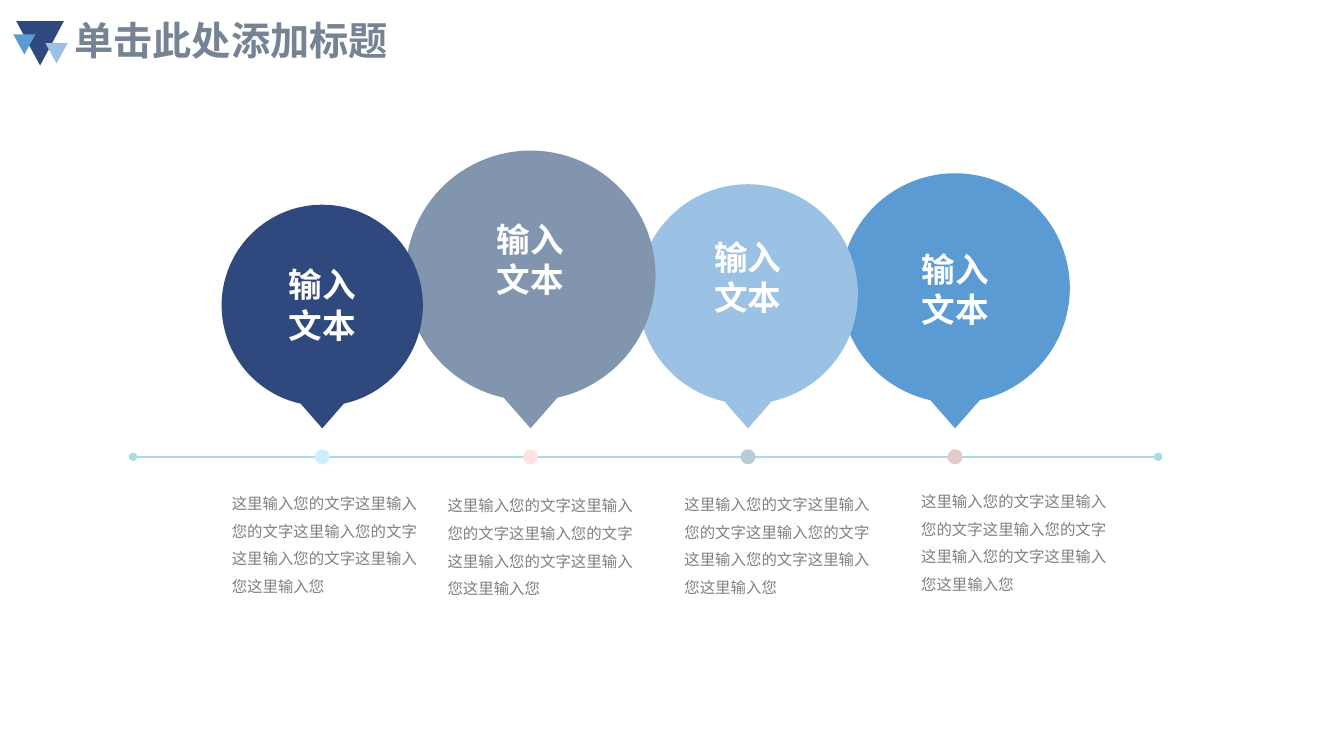
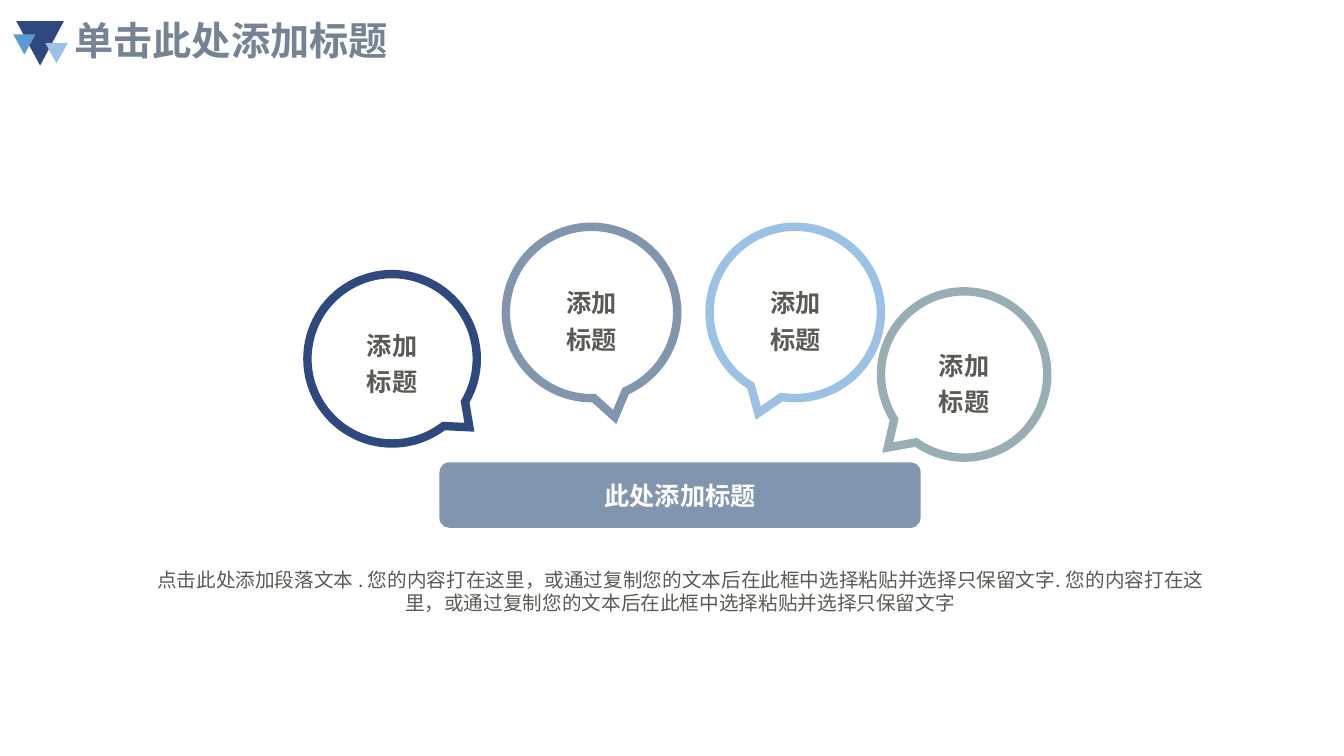
import math
import lxml.etree
import pptx
import pptx.dml.color
import pptx.enum.shapes
import pptx.enum.text
import pptx.oxml
import pptx.oxml.ns
import pptx.util

Pt = pptx.util.Pt
RGB = pptx.dml.color.RGBColor
Kind = pptx.enum.shapes.MSO_SHAPE
Align = pptx.enum.text.PP_ALIGN
Anchor = pptx.enum.text.MSO_ANCHOR
qn = pptx.oxml.ns.qn

FACE = "Noto Sans CJK SC"
NAVY = RGB(0x2F, 0x49, 0x7E)
STEEL = RGB(0x82, 0x95, 0xAF)
SKY = RGB(0x9B, 0xC1, 0xE4)
BLUE = RGB(0x5B, 0x9B, 0xD4)
SAGE = RGB(0x98, 0xAE, 0xB4)
SLATE = RGB(0x76, 0x83, 0x95)
AQUA = RGB(0xA9, 0xDB, 0xE4)
ICE = RGB(0xCB, 0xEF, 0xFD)
ROSE = RGB(0xFF, 0xE2, 0xE1)
MIST = RGB(0xB8, 0xCC, 0xD5)
BLUSH = RGB(0xE4, 0xCA, 0xC9)
GREY = RGB(0x80, 0x80, 0x80)
INK = RGB(0x59, 0x5C, 0x54)
WHITE = RGB(0xFF, 0xFF, 0xFF)

HEAD = "单击此处添加标题"
NOTE = "这里输入您的文字" * 4 + "这里输入您" * 2
BODY = (
    "点击此处添加段落文本 . 您的内容打在这里，或通过复制您的文本后在此框中选择粘贴并选择只保留文字"
    ". 您的内容打在这里，或通过复制您的文本后在此框中选择粘贴并选择只保留文字"
)
TIP = 306
AXIS = 326.3


def put(thing, forms):
    for name, value in forms.items():
        setattr(thing, name, value)


def paint(shape, fill, line=None, width=0):
    shape.shadow.inherit = False
    shape.fill.solid()
    shape.fill.fore_color.rgb = fill
    if line is None:
        shape.line.fill.background()
        return
    shape.line.color.rgb = line
    shape.line.width = Pt(width)
    edge = shape.element.find(".//" + qn("a:ln"))
    lxml.etree.SubElement(edge, qn("a:miter"), lim="800000")


def write(shape, lines, size, tint, bold=False, align=Align.CENTER,
          space=1.0, anchor=Anchor.MIDDLE, pad=(0, 0, 0, 0)):
    frame = shape.text_frame
    sides = ("margin_left", "margin_top", "margin_right", "margin_bottom")
    put(frame, {"word_wrap": True, "vertical_anchor": anchor})
    put(frame, {side: Pt(gap) for side, gap in zip(sides, pad)})
    frame.text = "\n".join(lines)
    for par in frame.paragraphs:
        put(par, {"alignment": align, "line_spacing": space})
        for run in par.runs:
            put(run.font, {"name": FACE, "size": Pt(size), "bold": bold})
            run.font.color.rgb = tint
    for props in shape.element.iter(qn("a:rPr")):
        lxml.etree.SubElement(props, qn("a:ea"), typeface=FACE)


def block(slide, kind, box, fill, line=None, width=0):
    shape = slide.shapes.add_shape(kind, *map(Pt, box))
    paint(shape, fill, line, width)
    return shape


def label(slide, box, text, size, tint, **forms):
    shape = slide.shapes.add_textbox(*map(Pt, box))
    write(shape, [text], size, tint, anchor=Anchor.TOP, **forms)


def style(layout):
    title = layout.placeholders[0]
    put(title, {"left": Pt(46), "top": Pt(10.8),
                "width": Pt(828), "height": Pt(39.6)})
    put(title.text_frame, {"vertical_anchor": Anchor.MIDDLE,
                           "auto_size": pptx.enum.text.MSO_AUTO_SIZE.NONE})
    level = pptx.oxml.parse_xml(
        '<a:lvl1pPr xmlns:a="http://schemas.openxmlformats.org/drawingml/2006/main" algn="l">'
        '<a:lnSpc><a:spcPct val="90000"/></a:lnSpc>'
        f'<a:defRPr sz="2800" b="1"><a:solidFill><a:srgbClr val="{SLATE}"/></a:solidFill>'
        f'<a:latin typeface="{FACE}"/><a:ea typeface="{FACE}"/></a:defRPr></a:lvl1pPr>'
    )
    title.element.find(".//" + qn("a:lstStyle")).append(level)


def start(deck, layout):
    slide = deck.slides.add_slide(layout)
    slide.shapes.title.text = HEAD
    for box, tint in (
        ((11.6, 15.1, 34, 31.7), NAVY),
        ((32.4, 30.8, 16, 14.4), SKY),
        ((9.4, 24.5, 16, 14.4), BLUE),
    ):
        block(slide, Kind.ISOSCELES_TRIANGLE, box, tint).rotation = 180
    return slide


def axis(slide):
    line = slide.shapes.add_connector(
        pptx.enum.shapes.MSO_CONNECTOR.STRAIGHT,
        Pt(95), Pt(AXIS), Pt(827.3), Pt(AXIS))
    line.line.color.rgb = AQUA
    line.line.width = Pt(1)
    edge = line.element.find(".//" + qn("a:ln"))
    for end in ("a:headEnd", "a:tailEnd"):
        lxml.etree.SubElement(edge, qn(end), type="oval")
    lxml.etree.SubElement(line.element.spPr, qn("a:effectLst"))


def bubble(slide, mid, size, tint, foot):
    top = TIP - 1.222 * size
    gap = math.radians(12.4)
    step = (2 * math.pi - 2 * gap) / 96
    turns = [gap + step * k for k in range(97)]
    points = [(Pt(mid + size * math.sin(turn)), Pt(top + size * math.cos(turn)))
              for turn in turns]
    build = slide.shapes.build_freeform(Pt(mid), Pt(TIP))
    build.add_line_segments(points, close=True)
    shape = build.convert_to_shape()
    paint(shape, tint)
    write(shape, ["输入", "文本"], 24, WHITE, bold=True, pad=(0, 0, 0, foot))


def draw_axis(slide):
    axis(slide)
    for mid, size, tint, foot, dot, left, top in (
        (682.2, 82, BLUE, 17, BLUSH, 658, 344.9),
        (534.3, 78.5, SKY, 42, MIST, 488.9, 347),
        (379, 89.3, STEEL, 43, ROSE, 319.7, 347.8),
        (230.2, 71.9, NAVY, 17, ICE, 165.6, 346.3),
    ):
        block(slide, Kind.OVAL, (mid - 5.4, AXIS - 5.4, 10.8, 10.8), dot)
        bubble(slide, mid, size, tint, foot)
        label(slide, (left, top, 141, 78), NOTE, 11, GREY,
              align=Align.LEFT, space=1.5)


def draw_calls(slide):
    for left, top, size, tint, tail, drop in (
        (219.6, 195.8, 121, NAVY, (0.456, 0.404), 2),
        (361.4, 162, 122.4, STEEL, (0.135, 0.61), 8),
        (506.9, 162, 122.4, SKY, (-0.216, 0.587), 8),
        (629.3, 208.1, 118.8, SAGE, (-0.459, 0.439), 8),
    ):
        call = block(slide, Kind.OVAL_CALLOUT, (left, top, size, size),
                     WHITE, tint, 6)
        for k, value in enumerate(tail):
            call.adjustments[k] = value
        write(call, ["添加", "标题"], 18, INK, bold=True, space=1.2,
              pad=(0, drop, 0, 0))
    bar = block(slide, Kind.ROUNDED_RECTANGLE, (313.9, 330.2, 343.7, 46.8), STEEL)
    bar.adjustments[0] = 0.15
    write(bar, ["此处添加标题"], 18, WHITE, bold=True)
    label(slide, (105.8, 401.8, 760.3, 41), BODY, 14, INK,
          pad=(3.6, 3.6, 3.6, 3.6))


def main():
    deck = pptx.Presentation()
    put(deck, {"slide_width": Pt(960), "slide_height": Pt(540)})
    layout = deck.slide_layouts[5]
    style(layout)
    for draw in (draw_axis, draw_calls):
        draw(start(deck, layout))
    deck.save("out.pptx")


if __name__ == "__main__":
    main()
